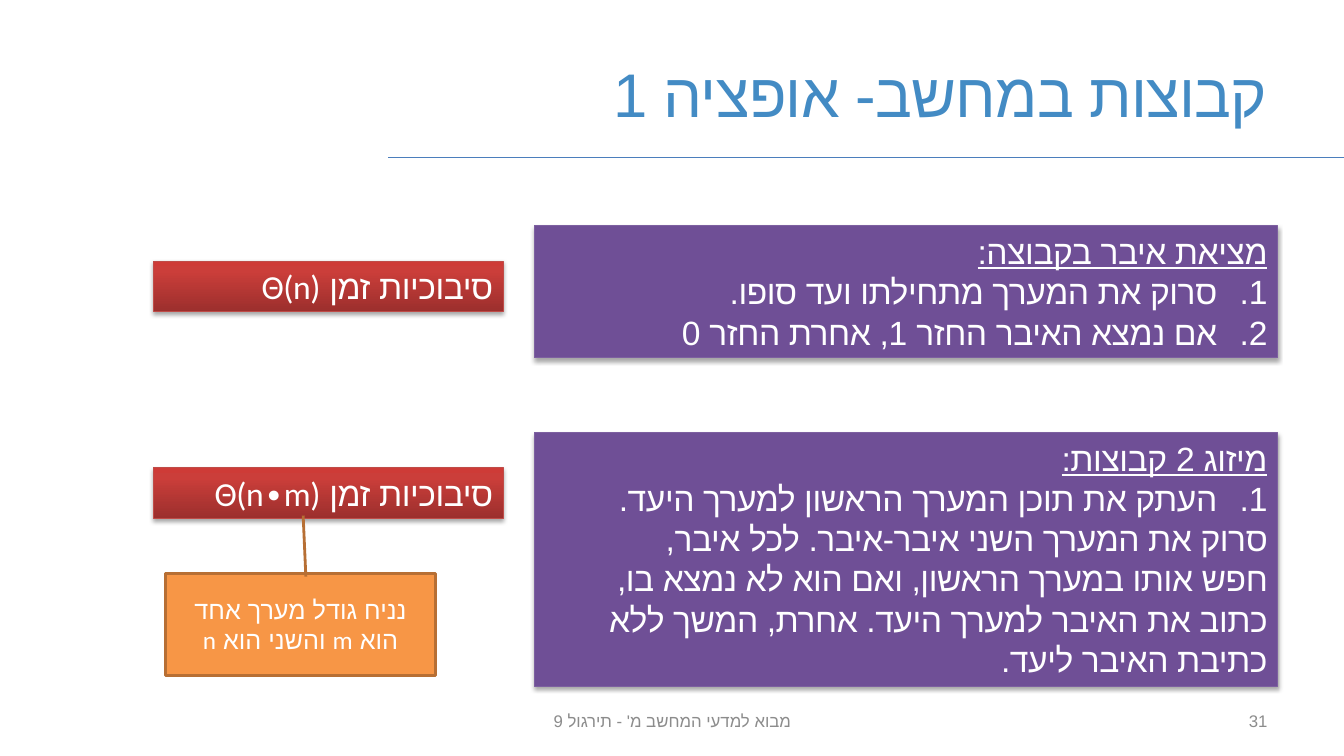
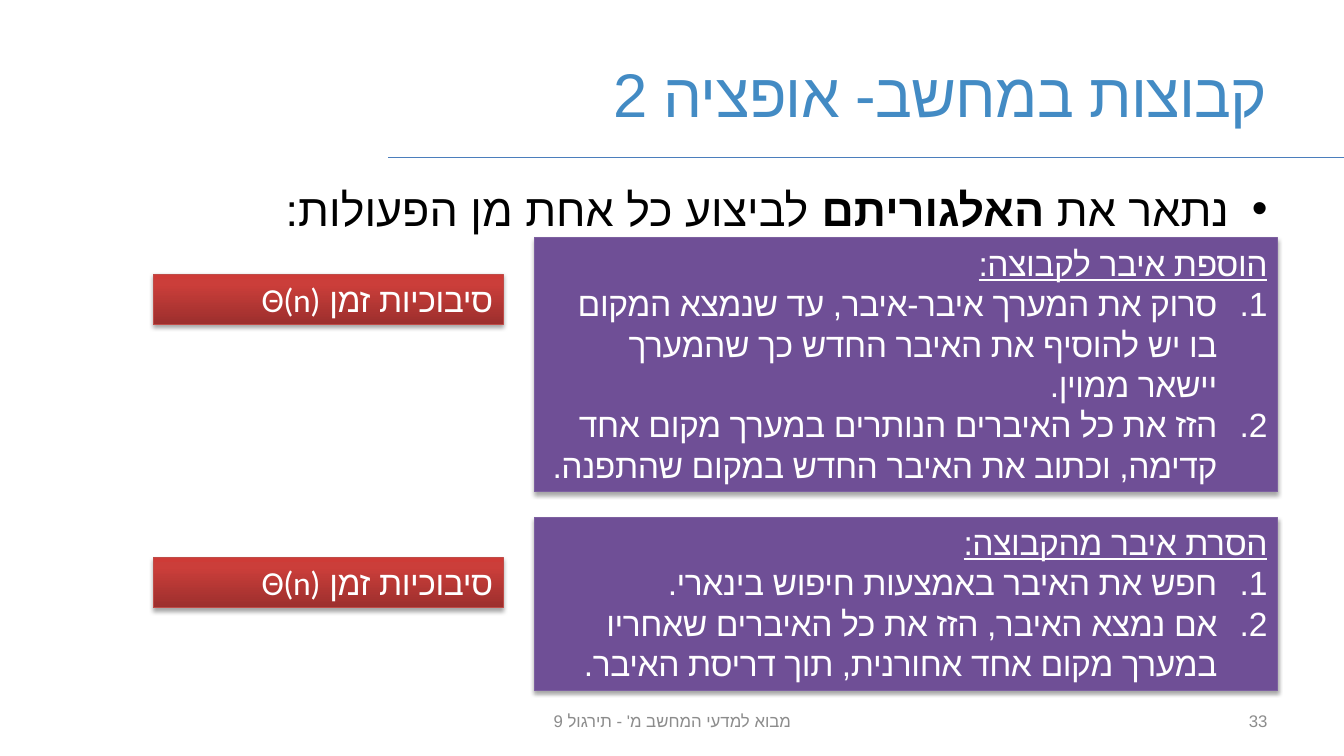
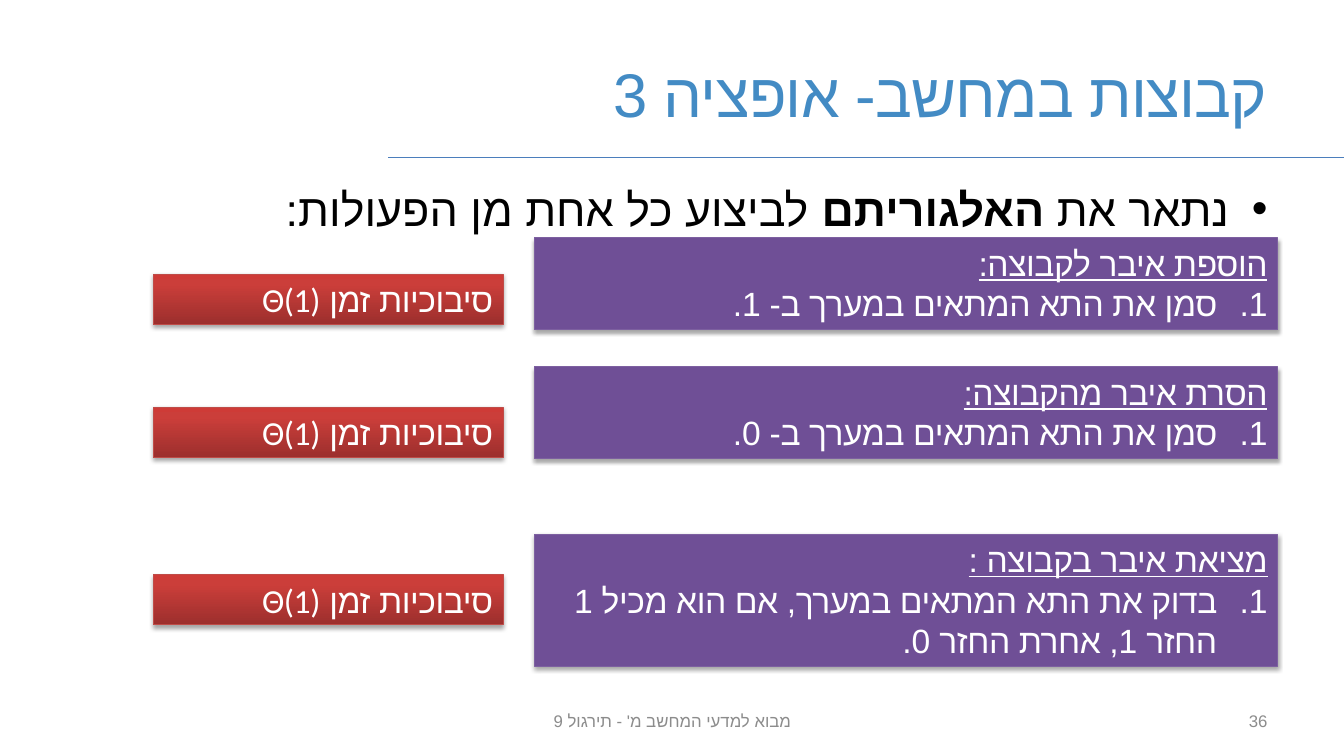
import copy

import pptx
import pptx.dml.color
import pptx.enum.lang
import pptx.enum.shapes
import pptx.enum.text
import pptx.oxml
import pptx.oxml.ns
import pptx.util

SCALE = 9144  # EMU in one px, 100 px to the inch

# Colours
RGB = pptx.dml.color.RGBColor
WHITE = RGB(0xFF, 0xFF, 0xFF)
BLACK = RGB(0x00, 0x00, 0x00)
TITLE_BLUE = RGB(0x43, 0x8B, 0xC4)
RULE_BLUE = RGB(0x4B, 0x7E, 0xBC)
FOOTER_GRAY = RGB(0x8C, 0x8C, 0x8C)
PURPLE = RGB(0x6F, 0x4F, 0x96)
PURPLE_EDGE = RGB(0x7D, 0x60, 0xA0)
RED_EDGE = RGB(0xBF, 0x4C, 0x48)
RED_STOPS = (
    (0, RGB(0x9C, 0x2F, 0x2D)),
    (0.8, RGB(0xCB, 0x3E, 0x3A)),
    (1, RGB(0xCE, 0x3B, 0x37)),
)
ORANGE = RGB(0xF7, 0x96, 0x46)
ORANGE_EDGE = RGB(0xB7, 0x6F, 0x34)

# Shared text settings
BODY_FONT = "Calibri"
HEBREW_FONT = "Arial"
TIGHTENING = 1.25  # hundredths of a point per point of text size
FOOTER = "מבוא למדעי המחשב מ' - תירגול 9"
ADD = "הוספת איבר לקבוצה:"
REMOVE = "הסרת איבר מהקבוצה:"
MARKER_FONT = '<a:buFont %s typeface="Arial"/>'
NUMBERED = '<a:buAutoNum %s type="arabicPeriod"/>'
BULLET = '<a:buChar %s char="•"/>'

ALIGN = pptx.enum.text.PP_ALIGN
ANCHOR = pptx.enum.text.MSO_ANCHOR
AUTO_SIZE = pptx.enum.text.MSO_AUTO_SIZE
SHAPE = pptx.enum.shapes.MSO_SHAPE
SHADOW = (
    '<a:outerShdw %s blurRad="39400" dist="22900" dir="5400000" rotWithShape="0">'
    '<a:srgbClr val="000000"><a:alpha val="35000"/></a:srgbClr></a:outerShdw>'
)


def px(*lengths):
    return [pptx.util.Emu(length * SCALE) for length in lengths]


def drawing_xml(template):
    return pptx.oxml.parse_xml(template % pptx.oxml.ns.nsdecls("a"))


# Text
def set_rtl(para, align=ALIGN.RIGHT, marker=None, indent=0):
    para.alignment = align
    properties = para._p.get_or_add_pPr()
    properties.set("rtl", "1")
    if marker:
        properties.set("marL", str(indent * SCALE))
        properties.set("indent", str(-indent * SCALE))
        properties.append(drawing_xml(MARKER_FONT))
        properties.append(drawing_xml(marker))


def add_span(para, text, size, color, name=BODY_FONT, bold=False, underline=False,
             tight=False):
    span = para.add_run()
    span.text = text
    font = span.font
    font.size = pptx.util.Pt(size)
    font.name = name
    font.color.rgb = color
    font.language_id = pptx.enum.lang.MSO_LANGUAGE_ID.HEBREW
    if bold:
        font.bold = True
    if underline:
        font.underline = True
    properties = span._r.get_or_add_rPr()
    if tight:
        properties.set("spc", str(-round(size * TIGHTENING)))
    hebrew = drawing_xml('<a:cs %s/>')
    hebrew.set("typeface", HEBREW_FONT)
    properties.append(hebrew)


def set_frame(box, anchor=ANCHOR.MIDDLE, auto_size=AUTO_SIZE.NONE):
    frame = box.text_frame
    frame.word_wrap = True
    frame.auto_size = auto_size
    frame.vertical_anchor = anchor
    return frame


def add_text(page, area, anchor=ANCHOR.MIDDLE):
    return set_frame(page.shapes.add_textbox(*px(*area)), anchor).paragraphs[0]


# Shapes
def add_box(page, kind, area, edge, weight=0.75):
    box = page.shapes.add_shape(kind, *px(*area))
    box.shadow.inherit = False
    box.line.color.rgb = edge
    box.line.width = pptx.util.Pt(weight)
    return box


def add_shadow(box):
    effects = box.element.spPr.find(pptx.oxml.ns.qn("a:effectLst"))
    effects.append(drawing_xml(SHADOW))


def add_panel(page, top, lines, heading, steps, plain_lines=()):
    """Purple box: underlined heading, numbered steps, then plain lines."""
    height = round(10 + 40.4 * lines)
    panel = add_box(page, SHAPE.RECTANGLE, (530, top, 737, height), PURPLE_EDGE)
    panel.fill.solid()
    panel.fill.fore_color.rgb = PURPLE
    add_shadow(panel)
    frame = set_frame(panel, ANCHOR.TOP, AUTO_SIZE.SHAPE_TO_FIT_TEXT)
    set_rtl(frame.paragraphs[0])
    add_span(frame.paragraphs[0], heading, 24, WHITE, underline=True, tight=True)
    for step in steps:
        para = frame.add_paragraph()
        set_rtl(para, marker=NUMBERED, indent=50)
        add_span(para, step, 24, WHITE, tight=True)
    for line in plain_lines:
        para = frame.add_paragraph()
        set_rtl(para)
        add_span(para, line, 24, WHITE, tight=True)


def add_cost(page, top, cost):
    """Red label with the running time."""
    label = add_box(page, SHAPE.RECTANGLE, (152, top, 347, 50), RED_EDGE)
    label.fill.gradient()
    label.fill.gradient_angle = 90
    stop_list = label.element.spPr.find(".//" + pptx.oxml.ns.qn("a:gsLst"))
    stop_list.append(copy.deepcopy(stop_list[-1]))
    for stop, (position, color) in zip(label.fill.gradient_stops, RED_STOPS):
        stop.position = position
        stop.color.rgb = color
    add_shadow(label)
    para = set_frame(label, ANCHOR.TOP, AUTO_SIZE.SHAPE_TO_FIT_TEXT).paragraphs[0]
    set_rtl(para)
    add_span(para, "סיבוכיות זמן " + cost, 24, WHITE, tight=True)


def add_callout(page, text):
    callout = add_box(page, SHAPE.LINE_CALLOUT_1, (164, 569, 268, 101), ORANGE_EDGE, 2)
    for index, value in enumerate((0.03, 0.52, -0.57, 0.51)):
        callout.adjustments[index] = value
    callout.fill.solid()
    callout.fill.fore_color.rgb = ORANGE
    para = set_frame(callout).paragraphs[0]
    set_rtl(para, ALIGN.CENTER)
    add_span(para, text, 18, WHITE)


# Slide frame
def add_page(deck, option, number):
    page = deck.slides.add_slide(deck.slide_layouts[5])

    rule = page.shapes.add_connector(
        pptx.enum.shapes.MSO_CONNECTOR.STRAIGHT, *px(1333, 156, 385, 156))
    rule.line.color.rgb = RULE_BLUE
    rule.line.width = pptx.util.Pt(0.75)
    rule.element.spPr.append(drawing_xml("<a:effectLst %s/>"))

    title = page.shapes.title
    title.left, title.top, title.width, title.height = px(67, 30, 1200, 125)
    para = set_frame(title).paragraphs[0]
    set_rtl(para)
    add_span(para, f"קבוצות במחשב- אופציה {option}", 44, TITLE_BLUE, HEBREW_FONT,
             tight=True)

    for area, text, align in (
        ((456, 695, 422, 40), FOOTER, ALIGN.CENTER),
        ((956, 695, 311, 40), str(number), ALIGN.RIGHT),
    ):
        para = add_text(page, area)
        set_rtl(para, align)
        add_span(para, text, 12, FOOTER_GRAY)
    return page


def add_intro(page):
    para = add_text(page, (67, 175, 1200, 495), ANCHOR.TOP)
    set_rtl(para, marker=BULLET, indent=38)
    add_span(para, "נתאר את ", 32, BLACK)
    add_span(para, "האלגוריתם ", 32, BLACK, bold=True)
    add_span(para, "לביצוע כל אחת מן הפעולות:", 32, BLACK)


def main():
    deck = pptx.Presentation()
    deck.slide_width, deck.slide_height = px(1333, 750)

    # Option 1
    page = add_page(deck, 1, 31)
    add_panel(page, 224, 3, "מציאת איבר בקבוצה:", [
        "סרוק את המערך מתחילתו ועד סופו.",
        "אם נמצא האיבר החזר 1, אחרת החזר 0",
    ])
    add_cost(page, 259, "Θ(n)")
    add_panel(page, 429, 6, "מיזוג 2 קבוצות:", [
        "העתק את תוכן המערך הראשון למערך היעד.",
    ], [
        "סרוק את המערך השני איבר-איבר. לכל איבר,",
        "חפש אותו במערך הראשון, ואם הוא לא נמצא בו,",
        "כתוב את האיבר למערך היעד. אחרת, המשך ללא",
        "כתיבת האיבר ליעד.",
    ])
    add_cost(page, 464, "Θ(n∙m)")
    add_callout(page, "נניח גודל מערך אחד הוא m והשני הוא n")

    # Option 2
    page = add_page(deck, 2, 33)
    add_intro(page)
    add_panel(page, 236, 6, ADD, [
        "סרוק את המערך איבר-איבר, עד שנמצא המקום בו יש להוסיף את האיבר החדש "
        "כך שהמערך יישאר ממוין.",
        "הזז את כל האיברים הנותרים במערך מקום אחד קדימה, וכתוב את האיבר החדש "
        "במקום שהתפנה.",
    ])
    add_cost(page, 272, "Θ(n)")
    add_panel(page, 513, 4, REMOVE, [
        "חפש את האיבר באמצעות חיפוש בינארי.",
        "אם נמצא האיבר, הזז את כל האיברים שאחריו במערך מקום אחד אחורנית, "
        "תוך דריסת האיבר.",
    ])
    add_cost(page, 553, "Θ(n)")

    # Option 3
    page = add_page(deck, 3, 36)
    add_intro(page)
    for top, cost_top, lines, heading, step in (
        (236, 272, 2, ADD, "סמן את התא המתאים במערך ב- 1."),
        (364, 404, 2, REMOVE, "סמן את התא המתאים במערך ב- 0."),
        (530, 570, 3, "מציאת איבר בקבוצה :",
         "בדוק את התא המתאים במערך, אם הוא מכיל 1 החזר 1, אחרת החזר 0."),
    ):
        add_panel(page, top, lines, heading, [step])
        add_cost(page, cost_top, "Θ(1)")

    deck.save("out.pptx")


if __name__ == "__main__":
    main()
